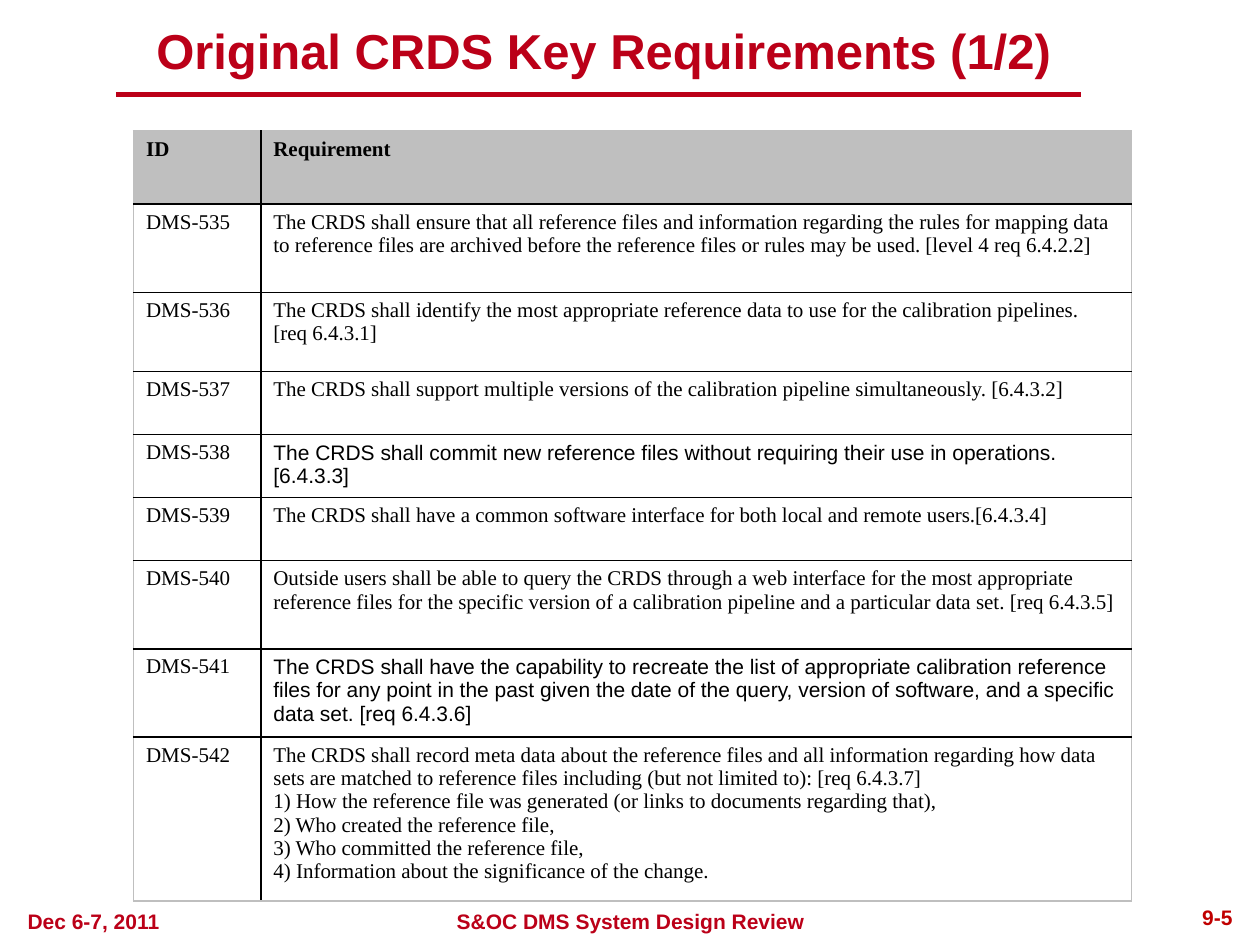
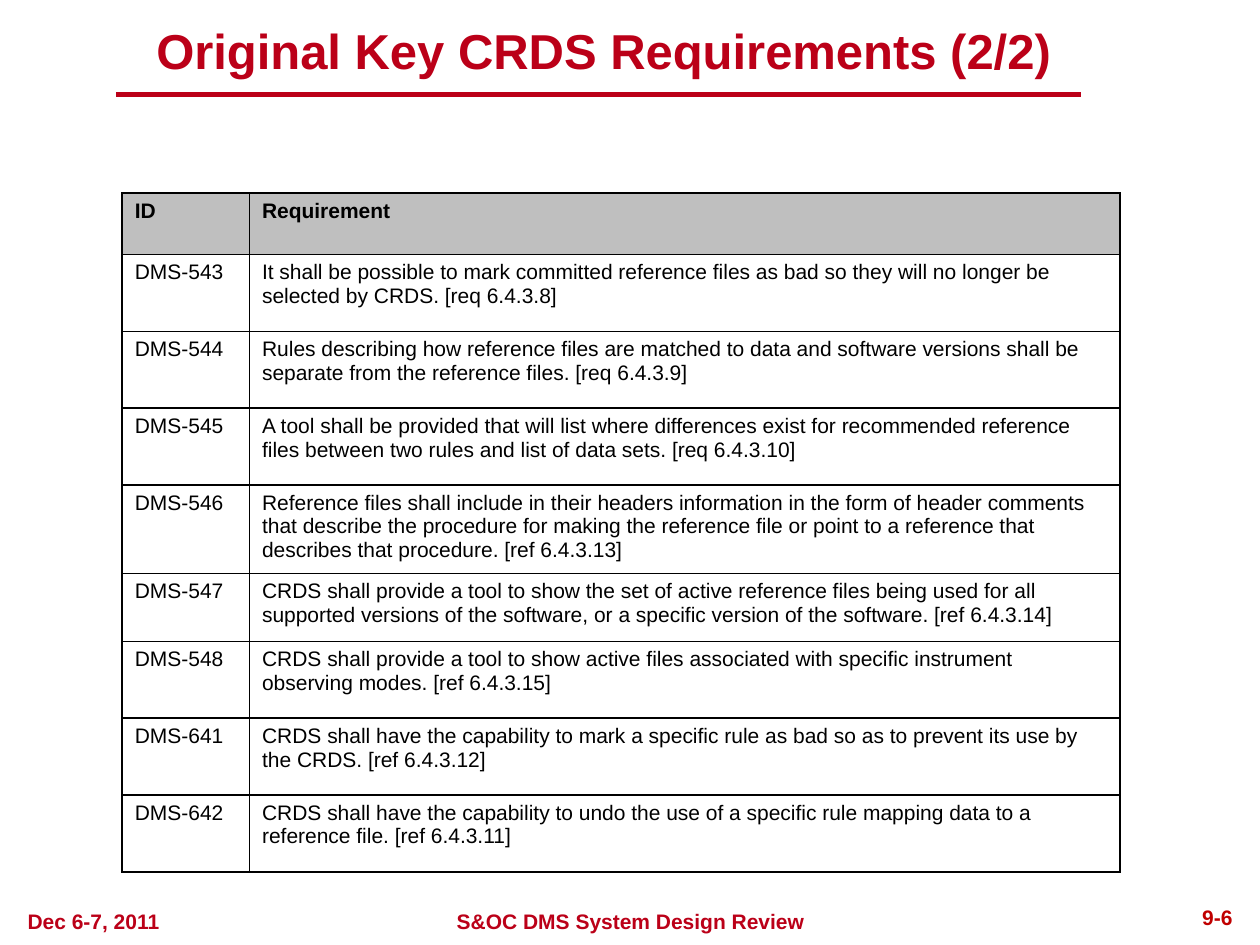
from lxml.etree import SubElement
from pptx import Presentation
from pptx.dml.color import RGBColor
from pptx.enum.shapes import MSO_CONNECTOR
from pptx.enum.text import MSO_ANCHOR, MSO_AUTO_SIZE, PP_ALIGN as AL
from pptx.oxml.ns import qn
from pptx.util import Inches, Pt

COLORS = {
    "red": "BB0018",
    "page": "C00000",
    "black": "000000",
    "grey": "BFBFBF",
}
SANS, SERIF = "Arial", "Times New Roman"
TITLE_ONLY = 5
COL_WIDTHS = (1.01, 6.91)

REQUIREMENTS_1 = [
    ("DMS-535", "The CRDS shall ensure that all reference files and information regarding the rules "
     "for mapping data to reference files are archived before the reference files or rules may be "
     "used. [level 4 req 6.4.2.2]"),
    ("DMS-536", "The CRDS shall identify the most appropriate reference data to use for the "
     "calibration pipelines. [req 6.4.3.1]"),
    ("DMS-537", "The CRDS shall support multiple versions of the calibration pipeline "
     "simultaneously. [6.4.3.2]"),
    ("DMS-538", "The CRDS shall commit new reference files without requiring their use in "
     "operations.[6.4.3.3]"),
    ("DMS-539", "The CRDS shall have a common software interface for both local and remote "
     "users.[6.4.3.4]"),
    ("DMS-540", "Outside users shall be able to query the CRDS through a web interface for the most "
     "appropriate reference files for the specific version of a calibration pipeline and a "
     "particular data set. [req 6.4.3.5]"),
    ("DMS-541", "The CRDS shall have the capability to recreate the list of appropriate calibration "
     "reference files for any point in the past given the date of the query, version of software, "
     "and a specific data set. [req 6.4.3.6]"),
    ("DMS-542", "The CRDS shall record meta data about the reference files and all information "
     "regarding how data sets are matched to reference files including (but not limited to): "
     "[req 6.4.3.7]\n"
     "1) How the reference file was generated (or links to documents regarding that),\n"
     "2) Who created the reference file,\n"
     "3) Who committed the reference file,\n"
     "4) Information about the significance of the change."),
]

REQUIREMENTS_2 = [
    ("DMS-543", "It shall be possible to mark committed reference files as bad so they will no "
     "longer be selected by CRDS. [req 6.4.3.8]"),
    ("DMS-544", "Rules describing how reference files are matched to data and software versions "
     "shall be separate from the reference files. [req 6.4.3.9]"),
    ("DMS-545", "A tool shall be provided that will list where differences exist for recommended "
     "reference files between two rules and list of data sets. [req 6.4.3.10]"),
    ("DMS-546", "Reference files shall include in their headers information in the form of header "
     "comments that describe the procedure for making the reference file or point to a reference "
     "that describes that procedure. [ref 6.4.3.13]"),
    ("DMS-547", "CRDS shall provide a tool to show the set of active reference files being used for "
     "all supported versions of the software, or a specific version of the software. "
     "[ref 6.4.3.14]"),
    ("DMS-548", "CRDS shall provide a tool to show active files associated with specific instrument "
     "observing modes. [ref 6.4.3.15]"),
    ("DMS-641", "CRDS shall have the capability to mark a specific rule as bad so as to prevent its "
     "use by the CRDS. [ref 6.4.3.12]"),
    ("DMS-642", "CRDS shall have the capability to undo the use of a specific rule mapping data to "
     "a reference file. [ref 6.4.3.11]"),
]


def rgb(name):
    return RGBColor.from_string(COLORS[name])


def write(tf, text, size=12, font=SANS, color="red", bold=True, align=AL.LEFT):
    for i, line in enumerate(text.split("\n")):
        p = tf.add_paragraph() if i else tf.paragraphs[0]
        p.alignment = align
        r = p.add_run()
        r.text = line
        r.font.size = Pt(size)
        r.font.name = font
        r.font.bold = bold
        r.font.color.rgb = rgb(color)


def add_title(s, text, left, width):
    sp = s.shapes.title
    sp.left, sp.top, sp.width, sp.height = map(Inches, (left, 0.17, width, 0.45))
    tf = sp.text_frame
    tf.auto_size = MSO_AUTO_SIZE.NONE
    tf.vertical_anchor = MSO_ANCHOR.MIDDLE
    write(tf, text, size=28, align=AL.CENTER)


def add_title_rule(s):
    line = s.shapes.add_connector(
        MSO_CONNECTOR.STRAIGHT, Inches(0.92), Inches(0.75), Inches(8.58), Inches(0.75))
    line.line.color.rgb = rgb("red")
    line.line.width = Pt(3)
    SubElement(line._element.spPr, qn("a:effectLst"))


def add_footer_text(s, text, left, top, width, align, color="red"):
    sp = s.shapes.add_textbox(Inches(left), Inches(top), Inches(width), Inches(0.3))
    tf = sp.text_frame
    tf.word_wrap = True
    write(tf, text, color=color, align=align)
    return tf


def add_footer(s, page):
    tf = add_footer_text(s, page, 8.4, 7.15, 1.48, AL.RIGHT, "page")
    tf.paragraphs[0].line_spacing = 0.9
    add_footer_text(s, "S&OC DMS System Design Review", 1.7, 7.16, 6.61, AL.CENTER)
    add_footer_text(s, "Dec 6-7, 2011", 0.12, 7.16, 1.49, AL.LEFT)


def set_border(cell, side, color):
    ln = SubElement(cell._tc.get_or_add_tcPr(), qn(f"a:ln{side}"), w=str(Pt(1)))
    fill = SubElement(ln, qn("a:solidFill"))
    SubElement(fill, qn("a:srgbClr"), val=COLORS[color])


def add_requirements(s, requirements, left, top, heights, font, edge, sans_ids=()):
    rows = [("ID", "Requirement"), *requirements]
    table = s.shapes.add_table(
        len(rows), len(COL_WIDTHS), Inches(left), Inches(top),
        Inches(sum(COL_WIDTHS)), Inches(sum(heights))).table
    table.first_row = table.horz_banding = False
    for column, width in zip(table.columns, COL_WIDTHS):
        column.width = Inches(width)
    last_row, last_col = len(rows) - 1, len(COL_WIDTHS) - 1
    for i, (row, height) in enumerate(zip(rows, heights)):
        table.rows[i].height = Inches(height)
        for j, text in enumerate(row):
            cell = table.cell(i, j)
            outer = {"L": j == 0, "R": j == last_col, "T": i == 0, "B": i == last_row}
            for side, is_outer in outer.items():
                set_border(cell, side, edge if is_outer else "black")
            if i == 0:
                cell.fill.solid()
                cell.fill.fore_color.rgb = rgb("grey")
            else:
                cell.fill.background()
            cell_font = SANS if j and row[0] in sans_ids else font
            write(cell.text_frame, text, font=cell_font, color="black", bold=i == 0)


def add_slide(prs, title, title_left, title_width, page):
    s = prs.slides.add_slide(prs.slide_layouts[TITLE_ONLY])
    add_title_rule(s)
    add_title(s, title, title_left, title_width)
    add_footer(s, page)
    return s


def main():
    prs = Presentation()
    prs.slide_width, prs.slide_height = Inches(10), Inches(7.5)

    s = add_slide(prs, "Original CRDS Key Requirements (1/2)", 0.58, 8.42, "9-5")
    add_requirements(
        s, REQUIREMENTS_1, 1.06, 1.04, (0.58, 0.7, 0.63, 0.5, 0.5, 0.5, 0.7, 0.7, 1.3),
        SERIF, "grey", sans_ids=("DMS-538", "DMS-541"))

    s = add_slide(prs, "Original Key CRDS Requirements (2/2)", 1, 7.58, "9-6")
    add_requirements(
        s, REQUIREMENTS_2, 0.97, 1.53, (0.49, 0.61, 0.61, 0.61, 0.7, 0.54, 0.61, 0.61, 0.61),
        SANS, "black")

    prs.save("out.pptx")


if __name__ == "__main__":
    main()
